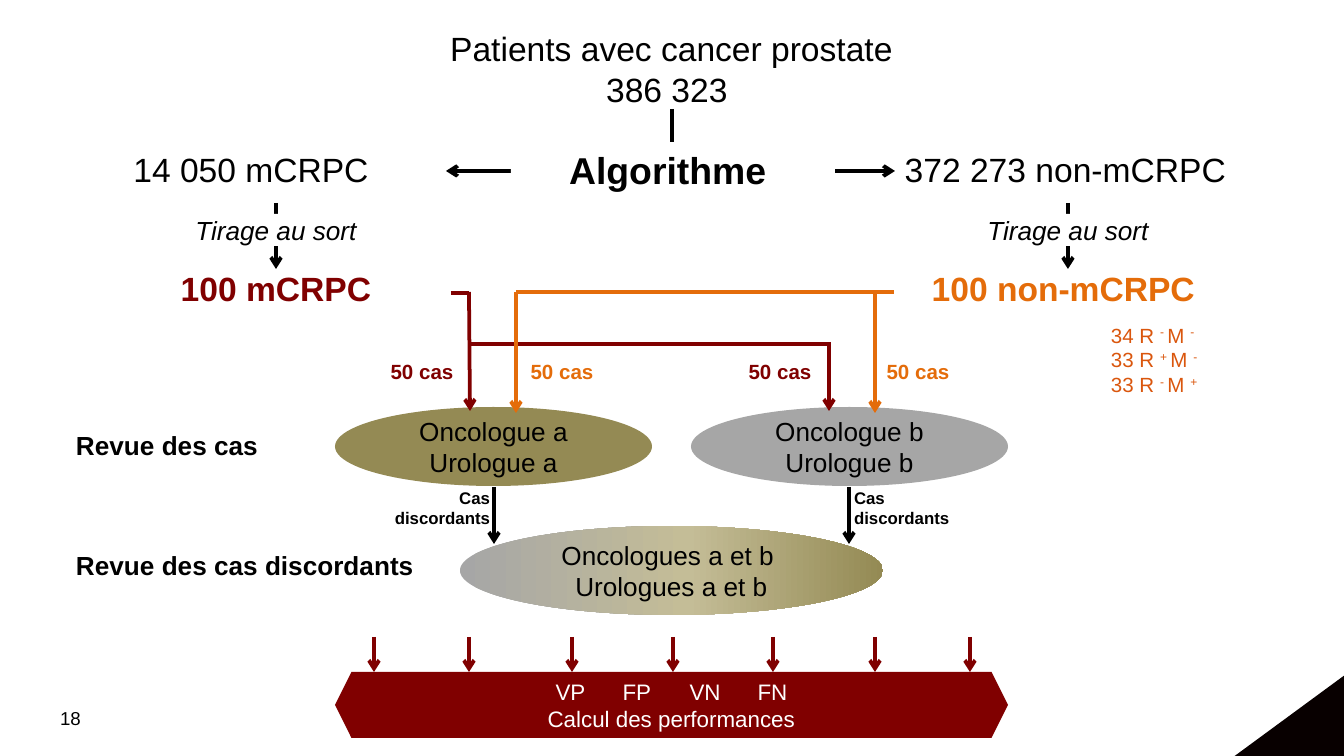
import copy
from dataclasses import dataclass

import pptx
import pptx.dml.color
import pptx.enum.shapes
import pptx.enum.text
import pptx.oxml.ns
import pptx.oxml.xmlchemy
import pptx.util

PX = 914400 / 134.4  # EMU in one px
SHAPE = pptx.enum.shapes.MSO_SHAPE
ALIGN = pptx.enum.text.PP_ALIGN
ANCHOR = pptx.enum.text.MSO_ANCHOR
qn = pptx.oxml.ns.qn


@dataclass(frozen=True)
class Theme:
    font: str = "Arial"
    black: str = "000000"
    white: str = "FFFFFF"
    red: str = "800000"
    orange: str = "E46C0A"
    rust: str = "DA560D"
    olive: str = "948A54"
    tan: str = "C4BD97"
    gray: str = "A6A6A6"
    corner: str = "080000"
    heading: int = 20
    large: int = 18
    body: int = 14
    band: int = 12
    label: int = 11
    number: int = 10
    small: int = 9
    line: int = 2


T = Theme()


def px(n):
    return round(n * PX)


def rgb(color):
    return pptx.dml.color.RGBColor.from_string(color)


def sub(parent, tag, **attrs):
    el = pptx.oxml.xmlchemy.OxmlElement(tag)
    for name, value in attrs.items():
        el.set(name, str(value))
    parent.append(el)
    return el


def write(sp, lines, size, color=T.black, bold=False, italic=False,
          align=ALIGN.CENTER, anchor=ANCHOR.MIDDLE, inset=(13, 7, 13, 7), tabs=()):
    """Fill a shape; a line is a string or a list of (text, raised) runs."""
    tf = sp.text_frame
    tf.word_wrap = True
    tf.vertical_anchor = anchor
    tf.margin_left, tf.margin_top, tf.margin_right, tf.margin_bottom = map(px, inset)
    for i, line in enumerate(lines):
        p = tf.paragraphs[0] if i == 0 else tf.add_paragraph()
        p.alignment = align
        if tabs:
            tab_list = sub(p._p.get_or_add_pPr(), "a:tabLst")
            for pos in tabs:
                sub(tab_list, "a:tab", pos=px(pos), algn="l")
        f = p.font
        f.name, f.size, f.bold, f.italic = T.font, pptx.util.Pt(size), bold, italic
        f.color.rgb = rgb(color)
        for text, raised in [(line, False)] if isinstance(line, str) else line:
            r = p.add_run()
            r.text = text
            if raised:
                r._r.get_or_add_rPr().set("baseline", "30000")
    return sp


def add_text(slide, box, lines, size, **style):
    return write(slide.shapes.add_textbox(*map(px, box)), lines, size, **style)


def add_block(slide, kind, box, fill):
    sp = slide.shapes.add_shape(kind, *map(px, box))
    sp.shadow.inherit = False
    sp.line.fill.background()
    sp.fill.solid()
    sp.fill.fore_color.rgb = rgb(fill)
    return sp


def add_gradient(sp, stops):
    sp.fill.gradient()
    sp.fill.gradient_angle = 0
    gs_list = sp._element.spPr.find(".//" + qn("a:gsLst"))
    while len(gs_list) < len(stops):
        gs_list.append(copy.deepcopy(gs_list[-1]))
    for stop, (position, color) in zip(sp.fill.gradient_stops, stops):
        stop.position = position
        stop.color.rgb = rgb(color)


def add_line(slide, x1, y1, x2, y2, color=T.black, arrow=True):
    line = slide.shapes.add_connector(
        pptx.enum.shapes.MSO_CONNECTOR.STRAIGHT, px(x1), px(y1), px(x2), px(y2))
    line.line.color.rgb = rgb(color)
    line.line.width = pptx.util.Pt(T.line)
    if arrow:
        sub(line._element.spPr.get_or_add_ln(), "a:tailEnd", type="arrow")
    sub(line._element.spPr, "a:effectLst")
    return line


def add_sample(slide, center, box, label, color):
    """Random draw: a sample, the arrow down to it and the label on the arrow."""
    sample = add_text(slide, box, [label], T.large, color=color, bold=True)
    arrow = add_line(slide, center, 203, center, 269)
    arrow.end_connect(sample, 0)
    tag = add_block(slide, SHAPE.RECTANGLE, (center - 105, 214, 210, 32), T.white)
    write(tag, ["Tirage au sort"], T.body, italic=True,
          anchor=ANCHOR.TOP, inset=(0, 0, 0, 0))


def add_population(slide):
    add_text(slide, (52, 125, 398, 89), ["14 050 mCRPC"], T.large)
    add_text(slide, (886, 125, 368, 89), ["372 273 non-mCRPC "], T.large)
    add_text(slide, (277, 36, 789, 65),
             ["Patients avec cancer prostate", "386 323 "], T.large,
             inset=(11, 5, 11, 5))
    for x1, x2 in ((663, 446), (680, 895)):
        add_line(slide, x1, 171, x2, 171)
    add_line(slide, 672, 109, 672, 165, arrow=False)
    box = add_block(slide, SHAPE.RECTANGLE, (511, 142, 324, 55), T.white)
    write(box, ["Algorithme "], T.heading, bold=True)


def add_reviews(slide):
    # Reviewer pairs
    for x, fill, pair in ((335, T.olive, "a"), (691, T.gray, "b")):
        sp = add_block(slide, SHAPE.OVAL, (x, 407, 317, 79), fill)
        write(sp, [f"Oncologue {pair}", f"Urologue {pair}"], T.body)
    joint = add_block(slide, SHAPE.OVAL, (460, 526, 423, 89), T.olive)
    add_gradient(joint, ((0, T.gray), (0.54, T.tan), (1, T.olive)))
    write(joint, ["Oncologues a et b ", "Urologues a et b"], T.body)

    # Cases sent to each pair
    add_line(slide, 451, 293, 469, 293, T.red, arrow=False)
    add_line(slide, 469, 292, 470, 411, T.red)
    add_line(slide, 470, 344, 831, 344, T.red, arrow=False)
    add_line(slide, 829, 344, 829, 411, T.red)
    add_line(slide, 516, 292, 894, 292, T.orange, arrow=False)
    for x in (516, 875):
        add_line(slide, x, 292, x, 413, T.orange)
    for x, color in ((376, T.red), (516, T.orange), (734, T.red), (872, T.orange)):
        add_text(slide, (x, 352, 92, 39), ["50 cas"], T.label, color=color, bold=True)

    # Discordant cases
    for arrow_x, x, align in ((494, 362, ALIGN.RIGHT), (849, 841, ALIGN.LEFT)):
        add_line(slide, arrow_x, 487, arrow_x, 544)
        add_text(slide, (x, 488, 141, 39), ["Cas", "discordants"], T.small,
                 bold=True, align=align)

    # Step names
    for y, step in ((426, "Revue des cas"), (546, "Revue des cas discordants")):
        add_text(slide, (63, y, 374, 39), [step], T.body, bold=True, align=ALIGN.LEFT)


def add_strata(slide):
    strata = ((34, "-", "-"), (33, "+", "-"), (33, "-", "+"))
    lines = [[(f"{n} R ", False), (f"{a} ", True), ("M ", False), (b, True)]
             for n, a, b in strata]
    add_text(slide, (1095, 319, 171, 81), lines, T.label, color=T.rust,
             align=ALIGN.LEFT, inset=(16, 3, 13, 3))


def add_results(slide):
    band = add_block(slide, SHAPE.HEXAGON, (335, 672, 673, 66), T.red)
    write(band, ["VP\tFP\tVN\tFN", "Calcul des performances"], T.band,
          color=T.white, tabs=(67, 134, 202))
    for x in (374, 469, 572, 673, 773, 875, 970):
        add_line(slide, x, 637, x, 672, T.red)


def main():
    prs = pptx.Presentation()
    prs.slide_width, prs.slide_height = px(1344), px(756)
    slide = prs.slides.add_slide(prs.slide_layouts[6])

    # Page corner and number
    corner = add_block(slide, SHAPE.RIGHT_TRIANGLE, (1232, 675, 113, 83), T.corner)
    corner._element.spPr.find(qn("a:xfrm")).set("flipH", "1")
    add_text(slide, (47, 700, 313, 40), ["18"], T.number,
             align=ALIGN.LEFT, anchor=ANCHOR.TOP)

    # Flow from the population to the results
    add_population(slide)
    add_sample(slide, 276, (69, 269, 414, 39), "100 mCRPC", T.red)
    add_sample(slide, 1068, (860, 269, 416, 39), "100 non-mCRPC ", T.orange)
    add_strata(slide)
    add_reviews(slide)
    add_results(slide)
    prs.save("out.pptx")


if __name__ == "__main__":
    main()
